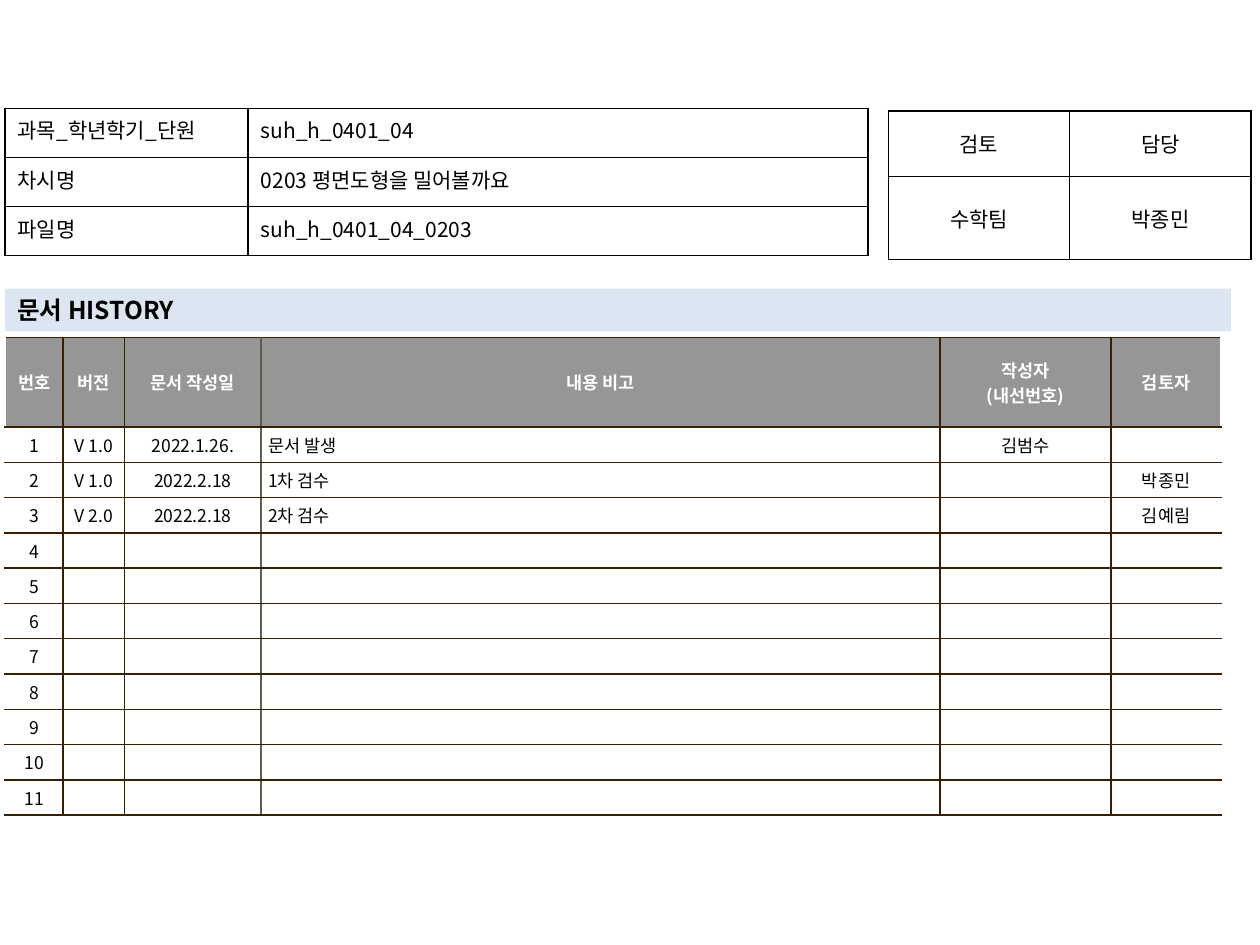
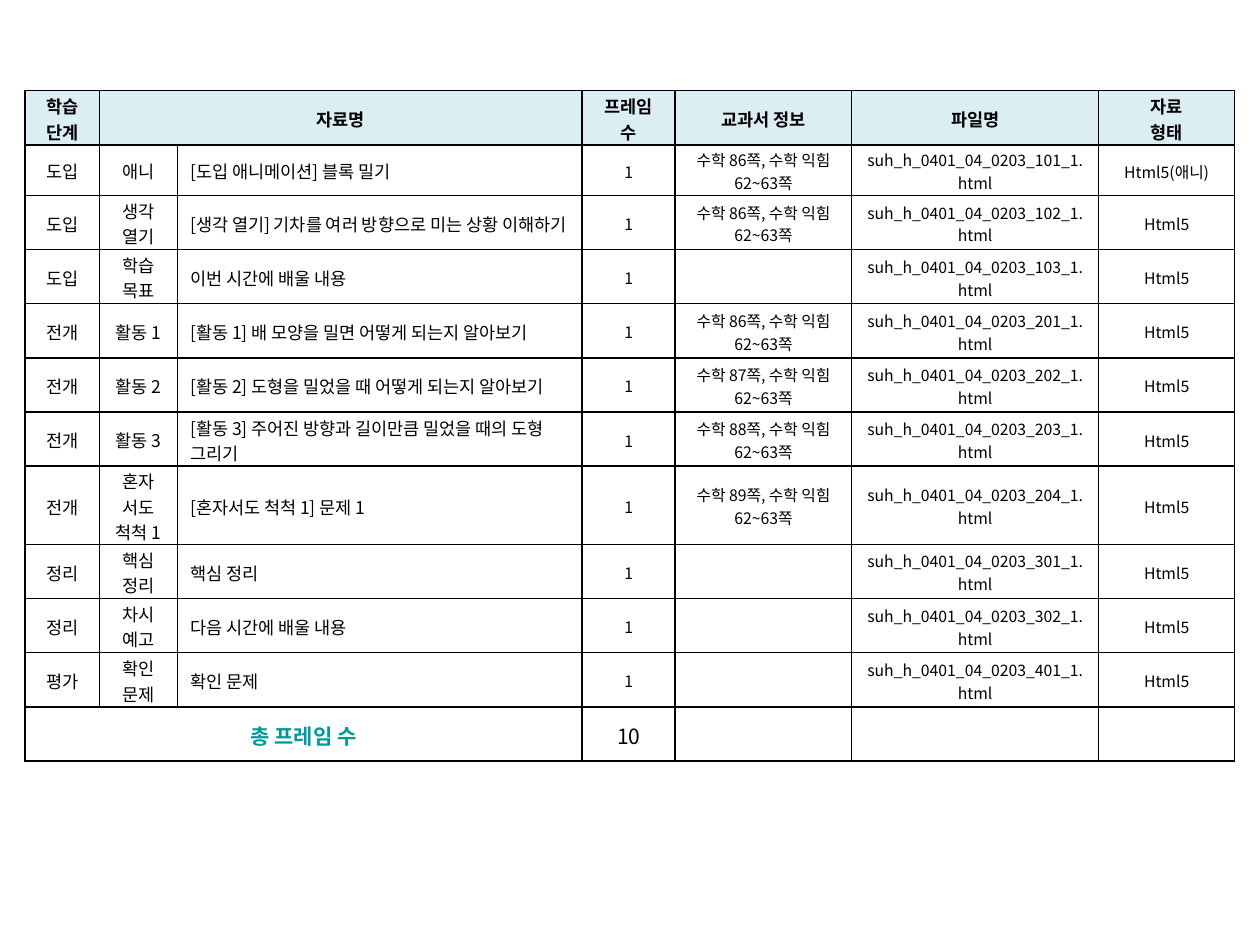
from dataclasses import dataclass

import lxml.etree
import pptx
import pptx.dml.color
import pptx.enum.shapes
import pptx.enum.text
import pptx.oxml.ns
import pptx.slide
import pptx.table
import pptx.text.text
import pptx.util

Inches = pptx.util.Inches
Align = pptx.enum.text.PP_ALIGN
Anchor = pptx.enum.text.MSO_ANCHOR

FONT = "Noto Sans CJK KR"
BLACK = "000000"
WHITE = "FFFFFF"
BROWN = "362000"
TAUPE = "645B4C"
GREY = "969696"
PALE_BLUE = "DCE6F2"
PALE_CYAN = "DBEEF4"
TEAL = "009999"


@dataclass(frozen=True)
class TextStyle:
    size: float
    color: str = BLACK
    bold: bool = False
    align: Align = Align.CENTER


@dataclass(frozen=True)
class CellStyle:
    text: TextStyle
    fill: str | None = None
    margins: tuple[float, float, float, float] = (0.1, 0.05, 0.1, 0.05)
    anchor: Anchor = Anchor.MIDDLE


@dataclass(frozen=True)
class Grid:
    left: float
    top: float
    columns: list[float]
    rows: list[float]
    cells: list[list[str]]


def rgb(color: str) -> pptx.dml.color.RGBColor:
    return pptx.dml.color.RGBColor.from_string(color)


def add_xml(parent: lxml.etree._Element, tag: str, **attributes: str) -> lxml.etree._Element:
    return lxml.etree.SubElement(parent, pptx.oxml.ns.qn(tag), **attributes)


def write_text(frame: pptx.text.text.TextFrame, text: str, style: TextStyle) -> None:
    frame.text = text
    for paragraph in frame.paragraphs:
        paragraph.alignment = style.align
        font = paragraph.font
        font.size = pptx.util.Pt(style.size)
        font.bold = style.bold
        font.color.rgb = rgb(style.color)
        font.name = FONT
        add_xml(font._element, "a:ea", typeface=FONT)
        if not text:
            add_xml(paragraph._p, "a:endParaRPr", sz=str(int(style.size * 100)))


def set_borders(cell: pptx.table._Cell, sides: dict[str, str]) -> None:
    properties = cell._tc.get_or_add_tcPr()
    for side in "LRTB":
        if side in sides:
            line = add_xml(properties, f"a:ln{side}", w=str(pptx.util.Pt(1)))
            fill = add_xml(line, "a:solidFill")
            add_xml(fill, "a:srgbClr", val=sides[side])


def format_cell(cell: pptx.table._Cell, text: str, style: CellStyle, borders: dict[str, str]) -> None:
    set_borders(cell, borders)
    if style.fill:
        cell.fill.solid()
        cell.fill.fore_color.rgb = rgb(style.fill)
    else:
        cell.fill.background()
    cell.vertical_anchor = style.anchor
    cell.margin_left, cell.margin_top, cell.margin_right, cell.margin_bottom = map(Inches, style.margins)
    write_text(cell.text_frame, text, style.text)


def add_grid(slide: pptx.slide.Slide, grid: Grid) -> pptx.table.Table:
    frame = slide.shapes.add_table(
        len(grid.rows), len(grid.columns), Inches(grid.left), Inches(grid.top),
        Inches(sum(grid.columns)), Inches(sum(grid.rows)),
    )
    table = frame.table
    table.first_row = table.horz_banding = False
    for column, width in zip(table.columns, grid.columns):
        column.width = Inches(width)
    for row, height in zip(table.rows, grid.rows):
        row.height = Inches(height)
    return table


def fill_grid(table: pptx.table.Table, grid: Grid, styles: list[list[CellStyle]], open_sides: bool = False) -> None:
    last = len(grid.columns) - 1
    for row, (texts, row_styles) in enumerate(zip(grid.cells, styles)):
        for column, (text, style) in enumerate(zip(texts, row_styles)):
            borders = dict.fromkeys("LRTB", BROWN if open_sides else BLACK)
            if open_sides:
                if column == 0:
                    del borders["L"]
                if column == last:
                    del borders["R"]
                if column == 2:
                    borders["R"] = TAUPE
                if column == 3:
                    borders["L"] = TAUPE
            format_cell(table.cell(row, column), text, style, borders)


def add_history_bar(slide: pptx.slide.Slide) -> None:
    bar = slide.shapes.add_shape(
        pptx.enum.shapes.MSO_SHAPE.RECTANGLE, Inches(0.04), Inches(2.29), Inches(9.73), Inches(0.34)
    )
    bar.shadow.inherit = False
    bar.fill.solid()
    bar.fill.fore_color.rgb = rgb(PALE_BLUE)
    bar.line.fill.background()
    bar.text_frame.vertical_anchor = Anchor.MIDDLE
    write_text(bar.text_frame, "문서 HISTORY", TextStyle(14, bold=True, align=Align.LEFT))


def build_history_slide(slide: pptx.slide.Slide) -> None:
    entries = [
        ["V 1.0", "2022.1.26.", "문서 발생", "김범수", ""],
        ["V 1.0", "2022.2.18", "1차 검수", "", "박종민"],
        ["V 2.0", "2022.2.18", "2차 검수", "", "김예림"],
    ]
    entries += [[""] * 5] * 8
    history = Grid(
        0.04, 2.68, [0.46, 0.49, 1.08, 5.39, 1.36, 0.87], [0.71] + [0.28] * len(entries),
        [["번호", "버전", "문서 작성일", "내용 비고", "작성자\n(내선번호)", "검토자"]]
        + [[str(number), *entry] for number, entry in enumerate(entries, 1)],
    )
    margins = (0.06, 0.04, 0.06, 0.04)
    header = CellStyle(TextStyle(10, WHITE, True), GREY, margins)
    body = CellStyle(TextStyle(10), WHITE, margins)
    note = CellStyle(TextStyle(10, align=Align.LEFT), WHITE, margins)
    body_row = [body] * 3 + [note] + [body] * 2
    fill_grid(add_grid(slide, history), history, [[header] * 6] + [body_row] * len(entries), open_sides=True)

    review = Grid(7.05, 0.88, [1.44] * 2, [0.52, 0.66], [["검토", "담당"], ["수학팀", "박종민"]])
    fill_grid(add_grid(slide, review), review, [[CellStyle(TextStyle(12))] * 2] * 2)

    add_history_bar(slide)

    document = Grid(
        0.04, 0.86, [1.93, 4.92], [0.39] * 3,
        [
            ["과목_학년학기_단원", "suh_h_0401_04"],
            ["차시명", "0203 평면도형을 밀어볼까요"],
            ["파일명", "suh_h_0401_04_0203"],
        ],
    )
    label = CellStyle(TextStyle(12, align=Align.LEFT), anchor=Anchor.TOP)
    fill_grid(add_grid(slide, document), document, [[label] * 2] * 3)


def build_contents_slide(slide: pptx.slide.Slide) -> None:
    lessons = [
        ("도입", "애니", "[도입 애니메이션] 블록 밀기", 86, 101),
        ("도입", "생각 열기", "[생각 열기] 기차를 여러 방향으로 미는 상황 이해하기", 86, 102),
        ("도입", "학습 목표", "이번 시간에 배울 내용", None, 103),
        ("전개", "활동 1", "[활동 1] 배 모양을 밀면 어떻게 되는지 알아보기", 86, 201),
        ("전개", "활동 2", "[활동 2] 도형을 밀었을 때 어떻게 되는지 알아보기", 87, 202),
        ("전개", "활동 3", "[활동 3] 주어진 방향과 길이만큼 밀었을 때의 도형 그리기", 88, 203),
        ("전개", "혼자\n서도\n척척 1", "[혼자서도 척척 1] 문제 1", 89, 204),
        ("정리", "핵심 정리", "핵심 정리", None, 301),
        ("정리", "차시 예고", "다음 시간에 배울 내용", None, 302),
        ("평가", "확인 문제", "확인 문제", None, 401),
    ]
    rows = [["학습 단계", "자료명", "", "프레임 수", "교과서 정보", "파일명", "자료\n형태"]]
    for stage, part, title, textbook_page, number in lessons:
        textbook = f"수학 {textbook_page}쪽, 수학 익힘 62~63쪽" if textbook_page else ""
        kind = "Html5(애니)" if part == "애니" else "Html5"
        rows.append([stage, part, title, "1", textbook, f"suh_h_0401_04_0203_{number}_1.html", kind])
    rows.append(["총 프레임 수", "", "", str(len(lessons)), "", "", ""])

    heights = [0.43, 0.4] + [0.43] * 5 + [0.6] + [0.43] * 4
    contents = Grid(0.2, 0.72, [0.59, 0.62, 3.21, 0.74, 1.4, 1.96, 1.08], heights, rows)
    margins = (0.1, 0.02, 0.1, 0)
    header = CellStyle(TextStyle(10, bold=True), PALE_CYAN, margins)
    stage_style = CellStyle(TextStyle(10), margins=margins)
    title_style = CellStyle(TextStyle(10, align=Align.LEFT), margins=margins)
    detail = CellStyle(TextStyle(9), margins=margins)
    total_label = CellStyle(TextStyle(12, TEAL, True), margins=margins)
    total = CellStyle(TextStyle(12), margins=margins)
    lesson_row = [stage_style] * 2 + [title_style] + [detail] * 4
    styles = [[header] * 7] + [lesson_row] * len(lessons) + [[total_label] * 3 + [total] * 4]

    table = add_grid(slide, contents)
    fill_grid(table, contents, styles)
    table.cell(0, 1).merge(table.cell(0, 2))
    last = len(rows) - 1
    table.cell(last, 0).merge(table.cell(last, 2))


def main() -> None:
    deck = pptx.Presentation()
    deck.slide_width = Inches(10)
    deck.slide_height = Inches(7.5)
    blank = deck.slide_layouts.get_by_name("Blank")
    for build in (build_history_slide, build_contents_slide):
        build(deck.slides.add_slide(blank))
    deck.save("out.pptx")


if __name__ == "__main__":
    main()
